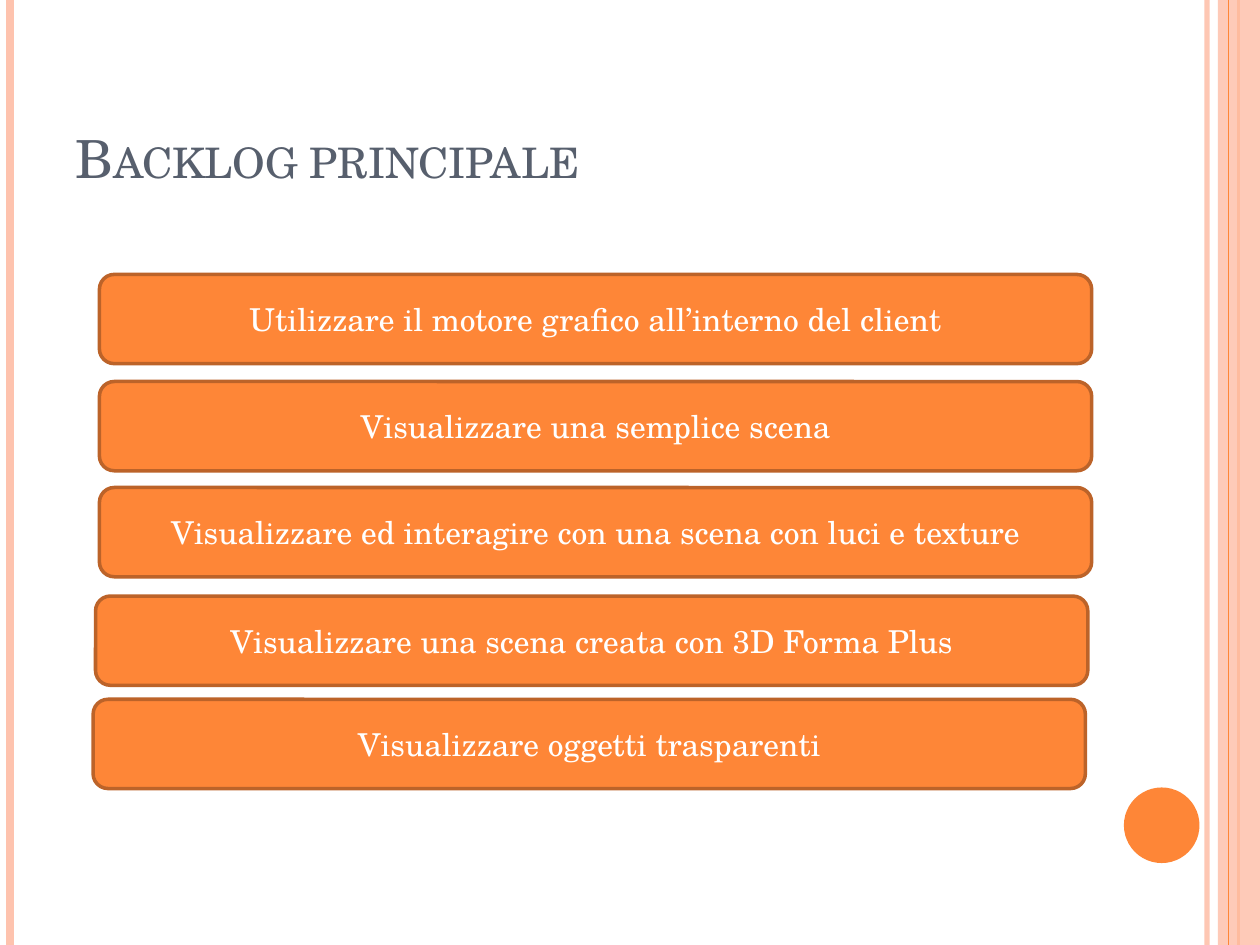
from dataclasses import dataclass

from lxml import etree
from pptx import Presentation
from pptx.dml.color import RGBColor
from pptx.enum import shapes, text
from pptx.oxml import ns
from pptx.util import Pt


@dataclass(frozen=True)
class Theme:
    """Colours, font and type sizes of the slide."""
    orange: str = "FE8637"
    peach: str = "FEC3AE"
    rust: str = "BC6329"
    slate: str = "575F6D"
    white: str = "FFFFFF"
    font: str = "TeX Gyre Schola"
    title_size: int = 30
    item_size: int = 18


THEME = Theme()
WIDTH, HEIGHT = 720, 540
BACKLOG = [
    ("Utilizzare il motore grafico all’interno del client", 0, 0),
    ("Visualizzare una semplice scena", 0, 61.2),
    ("Visualizzare ed interagire con una scena con luci e texture", 0, 121.8),
    ("Visualizzare una scena creata con 3D Forma Plus", -2.2, 183.8),
    ("Visualizzare oggetti trasparenti", -3.6, 242.8),
]


def set_alpha(element, percent):
    """Make the first solid colour of an element partly transparent."""
    colour = next(element.iter(ns.qn("a:srgbClr")))
    etree.SubElement(colour, ns.qn("a:alpha")).set("val", str(percent * 1000))


def add_words(frame, words, size, colour, align):
    """Put one formatted run into the first paragraph of a frame."""
    paragraph = frame.paragraphs[0]
    paragraph.alignment = align
    run = paragraph.add_run()
    run.text = words
    run.font.name = THEME.font
    run.font.size = Pt(size)
    run.font.color.rgb = RGBColor.from_string(colour)


def add_solid(slide, kind, box, fill, outline=None):
    """Add a flat filled shape, with an outline if a colour is given."""
    solid = slide.shapes.add_shape(kind, *map(Pt, box))
    solid.shadow.inherit = False
    solid.fill.solid()
    solid.fill.fore_color.rgb = RGBColor.from_string(fill)
    if outline:
        solid.line.color.rgb = RGBColor.from_string(outline)
        solid.line.width = Pt(2)
    else:
        solid.line.fill.background()
    return solid


def add_stripe(slide, x, height, colour, weight):
    """Draw a vertical line from the top of the slide."""
    stripe = slide.shapes.add_connector(
        shapes.MSO_CONNECTOR.STRAIGHT, Pt(x), Pt(0), Pt(x), Pt(height))
    stripe.line.color.rgb = RGBColor.from_string(colour)
    stripe.line.width = Pt(weight)
    properties = stripe.element.find(ns.qn("p:spPr"))
    etree.SubElement(properties, ns.qn("a:effectLst"))
    return stripe


def add_frame(slide, left, top, width, height):
    """Decorate the slide edges with stripes, a band and a disc."""
    right = left + width
    inner = add_stripe(slide, right - 30.24, height, THEME.peach, 3)
    set_alpha(inner.element, 93)
    add_stripe(slide, left + 5.76, height, THEME.peach, 4.5)
    add_stripe(slide, right - 12.24, height, THEME.orange, 1.5)
    band = add_solid(slide, shapes.MSO_SHAPE.RECTANGLE,
                     (right - 24, top, 24, height), THEME.peach)
    set_alpha(band.element, 87)
    add_stripe(slide, right - 18, height, THEME.orange, 0.75)
    add_solid(slide, shapes.MSO_SHAPE.OVAL,
              (right - 77.76, top + 450, 43.2, 43.2), THEME.orange)


def add_title(slide, left, top, width, height):
    """Place the small-caps heading in the title placeholder."""
    title = slide.shapes.title
    title.left, title.top, title.width, title.height = map(
        Pt, (left, top, width, height))
    frame = title.text_frame
    frame.auto_size = text.MSO_AUTO_SIZE.NONE
    frame.vertical_anchor = text.MSO_ANCHOR.BOTTOM
    add_words(frame, "Backlog principale", THEME.title_size,
              THEME.slate, text.PP_ALIGN.LEFT)
    next(title.element.iter(ns.qn("a:rPr"))).set("cap", "small")


def add_backlog(slide, left, top, width, item_height):
    """Stack one rounded bar for each backlog item."""
    for words, shift, drop in BACKLOG:
        item = add_solid(slide, shapes.MSO_SHAPE.ROUNDED_RECTANGLE,
                         (left + shift, top + drop, width, item_height),
                         THEME.orange, THEME.rust)
        frame = item.text_frame
        frame.word_wrap = True
        frame.vertical_anchor = text.MSO_ANCHOR.MIDDLE
        add_words(frame, words, THEME.item_size, THEME.white,
                  text.PP_ALIGN.CENTER)


def main():
    """Build and save the backlog slide."""
    deck = Presentation()
    deck.slide_width, deck.slide_height = Pt(WIDTH), Pt(HEIGHT)
    slide = deck.slides.add_slide(deck.slide_layouts[5])
    add_frame(slide, 0, 0, WIDTH, HEIGHT)
    add_title(slide, 36, 21.6, 588, 90)
    add_backlog(slide, 56.8, 156.8, 567, 51)
    deck.save("out.pptx")


if __name__ == "__main__":
    main()
